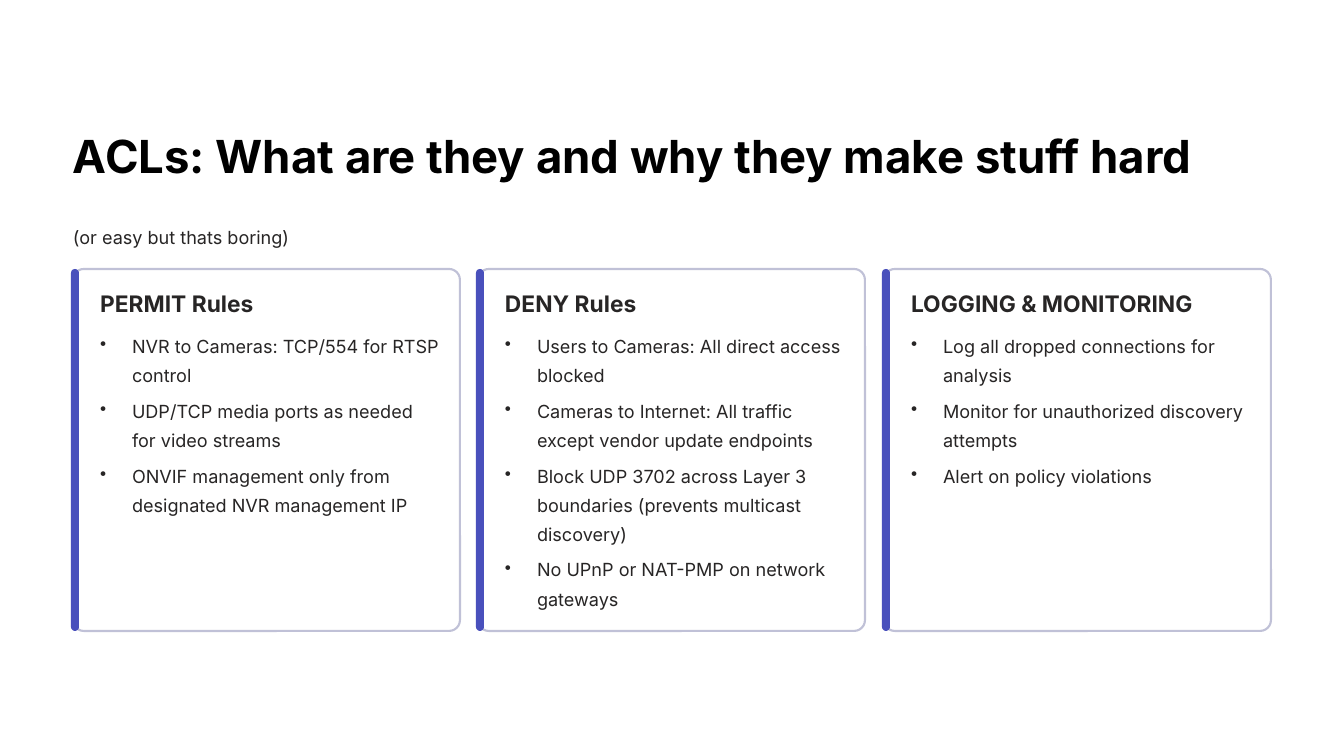
import pptx
import pptx.dml.color
import pptx.enum.shapes
import pptx.oxml
import pptx.oxml.ns
import pptx.util

PX_PER_INCH = 84
CONTENT_LEFT, CONTENT_WIDTH = 73, 1198
CARD_TOP, CARD_WIDTH, CARD_HEIGHT = 269, 387, 362
BULLET_INDENT = 32

CARDS = [
    ("PERMIT Rules", [
        "NVR to Cameras: TCP/554 for RTSP control",
        "UDP/TCP media ports as needed for video streams",
        "ONVIF management only from designated NVR management IP",
    ]),
    ("DENY Rules", [
        "Users to Cameras: All direct access blocked",
        "Cameras to Internet: All traffic except vendor update endpoints",
        "Block UDP 3702 across Layer 3 boundaries (prevents multicast discovery)",
        "No UPnP or NAT-PMP on network gateways",
    ]),
    ("LOGGING & MONITORING", [
        "Log all dropped connections for analysis",
        "Monitor for unauthorized discovery attempts",
        "Alert on policy violations",
    ]),
]


def px(length):
    return pptx.util.Emu(round(length * 914400 / PX_PER_INCH))


def color(value):
    return pptx.dml.color.RGBColor.from_string(value)


class SlideBuilder:
    font = "Inter"
    title_color = "000000"
    text_color = "272525"
    card_fill = "FFFFFF"
    card_border = "C0C1D7"
    accent = "4950BC"

    def __init__(self, presentation):
        self.slide = presentation.slides.add_slide(presentation.slide_layouts[6])

    def rounded_box(self, left, top, width, height, fill, corner, border=None):
        shape = self.slide.shapes.add_shape(
            pptx.enum.shapes.MSO_SHAPE.ROUNDED_RECTANGLE,
            px(left), px(top), px(width), px(height))
        shape.adjustments[0] = corner
        shape.shadow.inherit = False
        shape.fill.solid()
        shape.fill.fore_color.rgb = color(fill)
        if border:
            shape.line.color.rgb = color(border)
            shape.line.width = pptx.util.Pt(1.8)
        else:
            shape.line.fill.background()

    def text(self, left, top, width, height, lines, size=15.5, spacing=25,
             bold=False, font_color=text_color, bullets=False):
        """Add a text box with one paragraph for each line."""
        box = self.slide.shapes.add_textbox(px(left), px(top), px(width), px(height))
        frame = box.text_frame
        frame.word_wrap = True
        frame.margin_left = frame.margin_top = 0
        frame.margin_right = frame.margin_bottom = 0
        frame.text = "\n".join(lines)
        for index, paragraph in enumerate(frame.paragraphs):
            paragraph.line_spacing = pptx.util.Pt(spacing)
            if index:
                paragraph.space_before = pptx.util.Pt(5.5)
            if bullets:
                self.bullet(paragraph)
            for run in paragraph.runs:
                run.font.name = self.font
                run.font.size = pptx.util.Pt(size)
                run.font.bold = bold
                run.font.color.rgb = color(font_color)

    def bullet(self, paragraph):
        properties = paragraph._p.get_or_add_pPr()
        properties.set("marL", str(px(BULLET_INDENT)))
        properties.set("indent", str(-px(BULLET_INDENT)))
        properties.append(pptx.oxml.parse_xml(
            f'<a:buChar {pptx.oxml.ns.nsdecls("a")} char="•"/>'))

    def card(self, left, heading, rules):
        self.rounded_box(left, CARD_TOP, CARD_WIDTH, CARD_HEIGHT,
                         self.card_fill, 0.03, self.card_border)
        self.rounded_box(left - 2, CARD_TOP, 8, CARD_HEIGHT, self.accent, 0.5)
        self.text(left + 27, CARD_TOP + 20, 340, 29, [heading],
                  size=19.5, spacing=24, bold=True)
        self.text(left + 27, CARD_TOP + 59, 340, 283, rules, bullets=True)


def main():
    presentation = pptx.Presentation()
    presentation.slide_width = px(16 * PX_PER_INCH)
    presentation.slide_height = px(9 * PX_PER_INCH)

    builder = SlideBuilder(presentation)
    builder.text(CONTENT_LEFT, 126, CONTENT_WIDTH, 57,
                 ["ACLs: What are they and why they make stuff hard"],
                 size=39, spacing=48.5, bold=True, font_color=builder.title_color)
    builder.text(CONTENT_LEFT, 219, CONTENT_WIDTH, 29, ["(or easy but thats boring)"])

    free_width = CONTENT_WIDTH - CARD_WIDTH
    for index, (heading, rules) in enumerate(CARDS):
        left = CONTENT_LEFT + index * free_width // (len(CARDS) - 1)
        builder.card(left, heading, rules)

    presentation.save("out.pptx")


if __name__ == "__main__":
    main()
